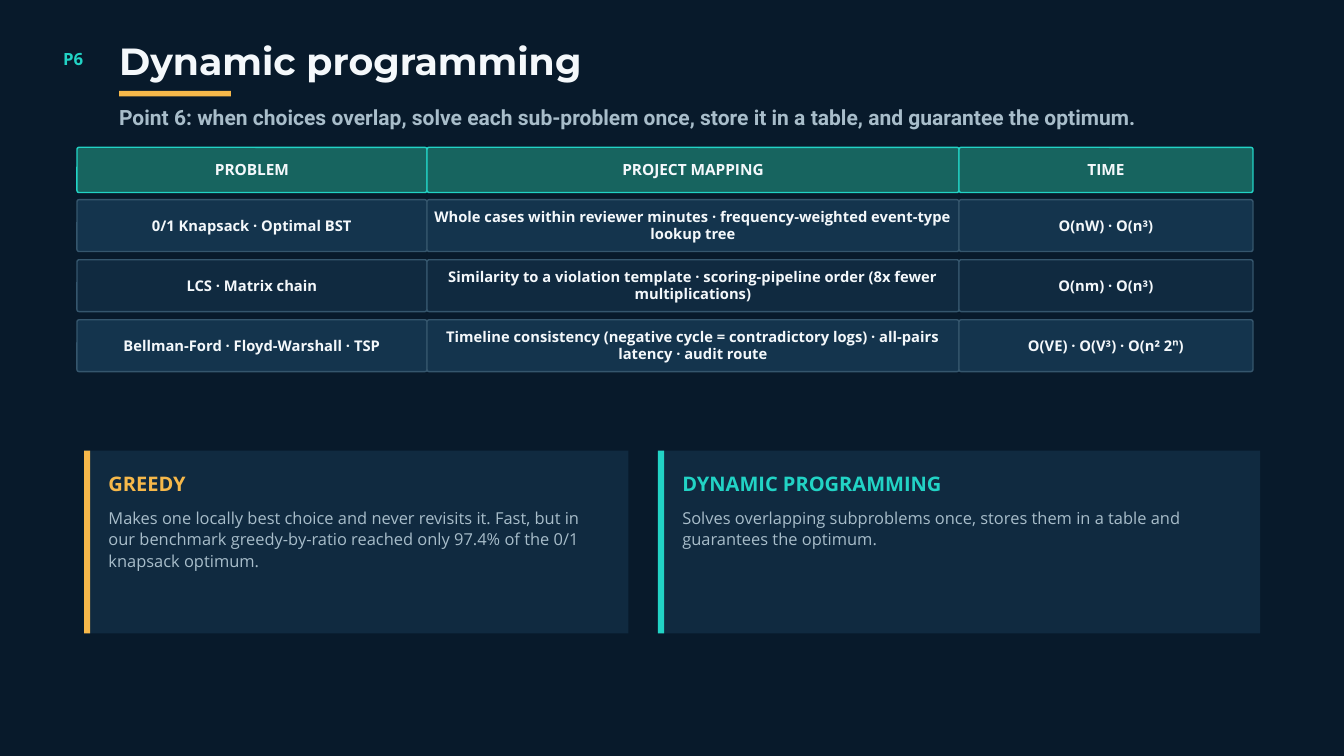
from pptx import Presentation
from pptx import util as u
from pptx.dml.color import RGBColor
from pptx.enum import shapes, text


class Theme:
    back, panel, band = "081A2B", "102A40", "14344D"
    head, edge = "17645F", "35566D"
    teal, gold = "22D3C5", "F6B84A"
    white, grey = "F4F8FB", "A8BDCA"
    sans, title, lead = "Open Sans", "Montserrat", "Roboto"
    # Each style is type size and line height in points
    tag, big, sub = (18, 23.4), (40.5, 42.5), (22.5, 27)
    label, cell = (16.5, 19), (15.8, 18.1)
    name, body = (21.5, 27.9), (17.6, 22.9)


def block(kind, x, y, w, h, fill, line=None):
    shape = slide.shapes.add_shape(kind, u.Cm(x), u.Cm(y), u.Cm(w), u.Cm(h))
    shape.shadow.inherit = False
    shape.fill.solid()
    shape.fill.fore_color.rgb = RGBColor.from_string(fill)
    if line:
        shape.line.color.rgb = RGBColor.from_string(line)
        shape.line.width = u.Pt(1.5)
    else:
        shape.line.fill.background()
    return shape


def write(shape, words, style, color, face=Theme.sans, bold=True, inset=0,
          align=text.PP_ALIGN.LEFT, anchor=text.MSO_ANCHOR.TOP):
    frame = shape.text_frame
    frame.text = words
    frame.word_wrap = True
    frame.auto_size = text.MSO_AUTO_SIZE.NONE
    frame.vertical_anchor = anchor
    frame.margin_left = frame.margin_right = u.Cm(inset)
    frame.margin_top = frame.margin_bottom = u.Cm(inset)
    par = frame.paragraphs[0]
    par.alignment = align
    par.space_before = u.Pt(0)
    par.line_spacing = u.Pt(style[1])
    font = par.runs[0].font
    font.name, font.size, font.bold = face, u.Pt(style[0]), bold
    font.color.rgb = RGBColor.from_string(color)


deck = Presentation()
deck.slide_width, deck.slide_height = u.Cm(50.8), u.Cm(28.58)
slide = deck.slides.add_slide(deck.slide_layouts[5])
slide.background.fill.solid()
slide.background.fill.fore_color.rgb = RGBColor.from_string(Theme.back)
RECT = shapes.MSO_SHAPE.RECTANGLE
ROUND = shapes.MSO_SHAPE.ROUNDED_RECTANGLE

# Heading: title, tag, accent rule and lead line
title = slide.shapes.title
title.left, title.top = u.Cm(4.5), u.Cm(1.63)
title.width, title.height = u.Cm(42.34), u.Cm(1.5)
write(title, "Dynamic programming", Theme.big, Theme.white, Theme.title)

tag = slide.shapes.add_textbox(u.Cm(2.39), u.Cm(1.78), u.Cm(1.85), u.Cm(0.79))
write(tag, "P6", Theme.tag, Theme.teal)

block(RECT, 4.5, 3.44, 4.23, 0.21, Theme.gold)

lead = slide.shapes.add_textbox(u.Cm(4.5), u.Cm(3.94), u.Cm(42.34), u.Cm(0.97))
write(lead, "Point 6: when choices overlap, solve each sub-problem once, "
      "store it in a table, and guarantee the optimum.",
      Theme.sub, Theme.grey, Theme.lead)

# Grid of rounded cells, rows set apart by a gap
edges = [2.91, 16.14, 36.25, 47.36]
rows = [
    ("PROBLEM", "PROJECT MAPPING", "TIME"),
    ("0/1 Knapsack · Optimal BST",
     "Whole cases within reviewer minutes · frequency-weighted event-type "
     "lookup tree",
     "O(nW) · O(n³)"),
    ("LCS · Matrix chain",
     "Similarity to a violation template · scoring-pipeline order "
     "(8x fewer multiplications)",
     "O(nm) · O(n³)"),
    ("Bellman-Ford · Floyd-Warshall · TSP",
     "Timeline consistency (negative cycle = contradictory logs) · all-pairs "
     "latency · audit route",
     "O(VE) · O(V³) · O(n² 2ⁿ)"),
]
for i, row in enumerate(rows):
    if i == 0:
        top, high, style = 5.57, 1.71, Theme.label
        fill, line = Theme.head, Theme.teal
    else:
        top, high, style = 7.55 + (i - 1) * 2.27, 1.96, Theme.cell
        fill, line = (Theme.band if i % 2 else Theme.panel), Theme.edge
    for left, right, words in zip(edges, edges[1:], row):
        cell = block(ROUND, left, top, right - left, high, fill, line)
        cell.adjustments[0] = 0.08 / high
        write(cell, words, style, Theme.white, inset=0.15,
              align=text.PP_ALIGN.CENTER, anchor=text.MSO_ANCHOR.MIDDLE)

# Two cards that compare the methods
cards = [
    (3.18, 20.57, Theme.gold, "GREEDY",
     "Makes one locally best choice and never revisits it. Fast, but in our "
     "benchmark greedy-by-ratio reached only 97.4% of the 0/1 knapsack "
     "optimum."),
    (24.87, 22.76, Theme.teal, "DYNAMIC PROGRAMMING",
     "Solves overlapping subproblems once, stores them in a table and "
     "guarantees the optimum."),
]
for left, wide, color, name, words in cards:
    block(RECT, left, 17.04, wide, 6.91, Theme.panel)
    block(RECT, left, 17.04, 0.23, 6.91, color)
    x, w = u.Cm(left + 0.92), u.Cm(wide - 1.74)
    head = slide.shapes.add_textbox(x, u.Cm(17.75), w, u.Cm(0.94))
    write(head, name, Theme.name, color)
    body = slide.shapes.add_textbox(x, u.Cm(19.15), w, u.Cm(2.31))
    write(body, words, Theme.body, Theme.grey, bold=False)

deck.save("out.pptx")
